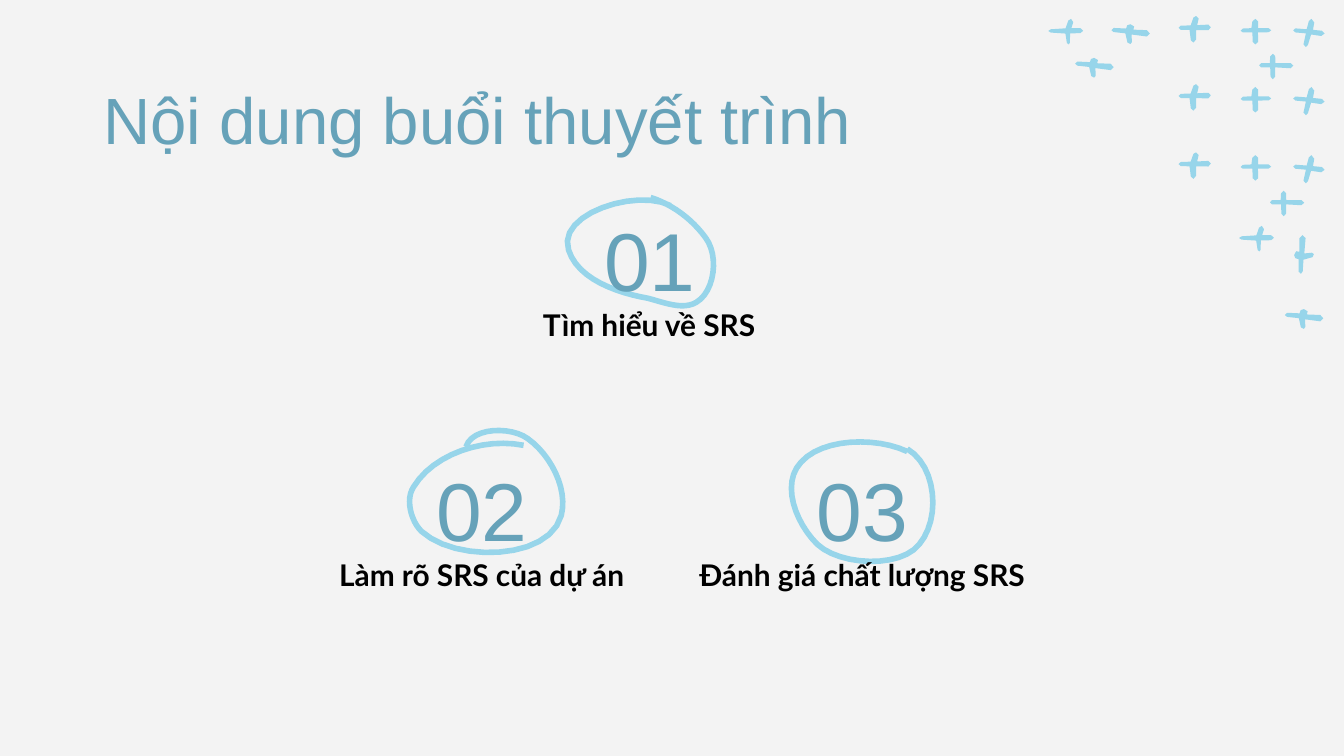
from dataclasses import dataclass
from math import cos, radians, sin

from pptx import Presentation
from pptx.dml.color import RGBColor
from pptx.enum.text import MSO_ANCHOR, PP_ALIGN
from pptx.util import Pt


@dataclass(frozen=True)
class Theme:
    back: RGBColor = RGBColor(0xF3, 0xF3, 0xF3)
    sky: RGBColor = RGBColor(0x97, 0xD5, 0xEA)
    blue: RGBColor = RGBColor(0x66, 0xA2, 0xB9)
    black: RGBColor = RGBColor(0, 0, 0)
    head: str = "Arial"
    body: str = "Lato"
    title: int = 35
    number: int = 44
    label: int = 16
    stroke: int = 3
    inset: float = 7.2


THEME = Theme()

# Hand-drawn plus signs: outline points within each sign
DASH = [(10.2, 0), (8.5, 0.6), (7.9, 2.3), (1.2, 2), (0, 3.2), (1.2, 4.2),
        (7.5, 4.9), (8.6, 9.8), (10.2, 10.6), (11, 9.6), (10.8, 5.5),
        (19, 6.6), (20.6, 5), (19, 3.2), (11.8, 2.9), (12.2, 1.2)]
LEAN = [(9.4, 0), (8, 0.8), (6.5, 5), (1.2, 5.2), (0, 6.3), (1.2, 7.4),
        (5.9, 7.5), (6.6, 13), (8, 14.2), (9.5, 12.5), (9.4, 7.5),
        (16, 7.6), (17.3, 6), (16, 4.6), (10, 4.9), (10.8, 1.4)]
PLAIN = [(7.9, 0), (6.3, 1.4), (5.8, 5), (1.2, 5.2), (0, 6.4), (1.2, 7.3),
         (6.3, 7.3), (6.5, 12.4), (7.9, 13.7), (9.4, 12.4), (9.3, 7.3),
         (15, 7.2), (16.4, 6.2), (15, 5), (9.4, 5), (9.4, 1.4)]
TILT = [(10, 0), (8.6, 1.2), (7.4, 5.6), (1.4, 5.1), (0.2, 6.2), (1.4, 7.3),
        (7, 7.8), (5.7, 13.7), (7, 15.1), (8.1, 14), (9.8, 8.4),
        (15.2, 9.2), (17, 7.9), (15.6, 6.4), (10.8, 5.9), (11.5, 2)]
LONG = [(7.3, 0), (5.9, 1.4), (5.7, 5.1), (1, 5.1), (0, 6.2), (1, 7.3),
        (5.9, 7.3), (6.1, 12.3), (7.3, 13.7), (8.6, 12.3), (8.6, 7.3),
        (16.8, 7.8), (18.3, 6.4), (16.8, 5), (8.7, 5), (8.6, 1.3)]
FLAT = [(12.2, 0), (10.7, 1), (9.3, 5.1), (1.4, 5.6), (0, 6.5), (1.4, 7.4),
        (9.2, 7.9), (10, 13), (11, 13.7), (11.6, 12.8), (11.7, 7.8),
        (17.2, 7.7), (18.7, 6.4), (17.2, 5), (12.4, 5), (13.4, 1.8)]

# Sign columns (outline, left, top) and the gap between their rows
COLUMNS = [(LEAN, 631.4, 8.6), (PLAIN, 664.6, 10.1), (TILT, 692.6, 10.1)]
ROWS, STEP = 3, 36.5

# Loose signs: outline, left, top, turn
LOOSE = [(DASH, 595.4, 13, 0), (DASH, 576, 31, 0), (DASH, 688.3, 165.6, 0),
         (DASH, 688.3, 131, 267.3), (LONG, 674.6, 28.8, 0),
         (LONG, 680.4, 102.2, 0), (FLAT, 561.6, 10.1, 0),
         (FLAT, 663.8, 121, 0)]

# Rings: a start point, then three Bezier points per curve
RING1 = [(359.3, 110.2), (341.3, 100.8), (298.1, 114.5), (304.6, 133.9),
         (309.6, 149.8), (331.2, 157), (347, 159.8),
         (355.7, 162), (365.8, 166.3), (373, 162),
         (383, 156.2), (385.2, 136.8), (378, 127.4),
         (370.8, 117.4), (360, 109.4), (348.5, 105.8)]
RING2 = [(281.5, 239), (260.6, 234.7), (233.3, 243.4), (222.5, 261.4),
         (218.2, 267.8), (221, 279.4), (226.8, 285.1),
         (244.8, 301.7), (295.2, 301), (301.7, 276.5),
         (305.3, 262.1), (295.9, 244.1), (283.7, 235.4),
         (275, 229), (254.2, 229), (250.6, 239.8)]
RING3 = [(486, 241.9), (469.4, 234), (440.6, 234.7), (429.1, 247.7),
         (418.3, 259.2), (426.2, 280.1), (437.8, 291.6),
         (450, 303.1), (482.4, 304.6), (492.5, 291.6),
         (504, 277.9), (501.8, 249.8), (486, 240.5)]

# Topics: number, label, ring, ring turn, number left and top, label box
TOPICS = [
    ("01", "Tìm hiểu về SRS", RING1, 0, (287.3, 121.7), (247.7, 157, 200.2)),
    ("02", "Làm rõ SRS của dự án", RING2, 339.7, (197.3, 255.6),
     (155.5, 290.9, 205.2)),
    ("03", "Đánh giá chất lượng SRS", RING3, 0, (401, 255.6),
     (359.3, 290.9, 205.2)),
]


def add_path(slide, points, closed):
    dots = [(Pt(x), Pt(y)) for x, y in points]
    pen = slide.shapes.build_freeform(*dots[0], scale=1.0)
    pen.add_line_segments(dots[1:], close=closed)
    shape = pen.convert_to_shape()
    shape.shadow.inherit = False
    return shape


def add_sign(slide, outline, left, top, turn=0):
    shape = add_path(slide, [(left + x, top + y) for x, y in outline], True)
    shape.fill.solid()
    shape.fill.fore_color.rgb = THEME.sky
    shape.line.fill.background()
    shape.rotation = turn


def trace(curve, steps=12):
    """Return points along a chain of cubic Bezier curves."""
    dots = [curve[0]]
    for i in range(0, len(curve) - 1, 3):
        quad = curve[i:i + 4]
        for k in range(1, steps + 1):
            t = k / steps
            u = 1 - t
            mix = (u ** 3, 3 * u * u * t, 3 * u * t * t, t ** 3)
            dots.append(tuple(sum(m * p[axis] for m, p in zip(mix, quad))
                              for axis in (0, 1)))
    return dots


def spin(points, turn):
    """Turn points clockwise about the middle of their bounds."""
    mid_x, mid_y = ((min(side) + max(side)) / 2 for side in zip(*points))
    c, s = cos(radians(turn)), sin(radians(turn))
    return [(mid_x + (x - mid_x) * c - (y - mid_y) * s,
             mid_y + (x - mid_x) * s + (y - mid_y) * c) for x, y in points]


def add_ring(slide, curve, turn):
    shape = add_path(slide, spin(trace(curve), -turn), False)
    shape.fill.background()
    shape.line.color.rgb = THEME.sky
    shape.line.width = Pt(THEME.stroke)
    shape.rotation = turn


def add_text(slide, text, box, size, color, face, bold=False,
             align=PP_ALIGN.CENTER, anchor=MSO_ANCHOR.TOP):
    frame = slide.shapes.add_textbox(*map(Pt, box)).text_frame
    frame.word_wrap = True
    frame.vertical_anchor = anchor
    frame.margin_left = frame.margin_right = Pt(THEME.inset)
    frame.margin_top = frame.margin_bottom = Pt(THEME.inset)
    para = frame.paragraphs[0]
    para.text = text
    para.alignment = align
    para.font.name = face
    para.font.size = Pt(size)
    para.font.bold = bold
    para.font.color.rgb = color


def add_topic(slide, number, label, ring, turn, spot, box):
    add_ring(slide, ring, turn)
    add_text(slide, number, (*spot, 121.7, 50.4), THEME.number, THEME.blue,
             THEME.head, anchor=MSO_ANCHOR.BOTTOM)
    add_text(slide, label, (*box, 28.1), THEME.label, THEME.black,
             THEME.body, bold=True)


def main():
    deck = Presentation()
    deck.slide_width, deck.slide_height = Pt(720), Pt(405)
    slide = deck.slides.add_slide(deck.slide_layouts[6])
    slide.background.fill.solid()
    slide.background.fill.fore_color.rgb = THEME.back

    for outline, left, top in COLUMNS:
        for row in range(ROWS):
            add_sign(slide, outline, left, top + row * STEP)
    for sign in LOOSE:
        add_sign(slide, *sign)

    add_text(slide, "Nội dung buổi thuyết trình", (48.2, 35.3, 622.8, 45.4),
             THEME.title, THEME.blue, THEME.head, align=PP_ALIGN.LEFT)
    for topic in TOPICS:
        add_topic(slide, *topic)
    deck.save("out.pptx")


if __name__ == "__main__":
    main()
